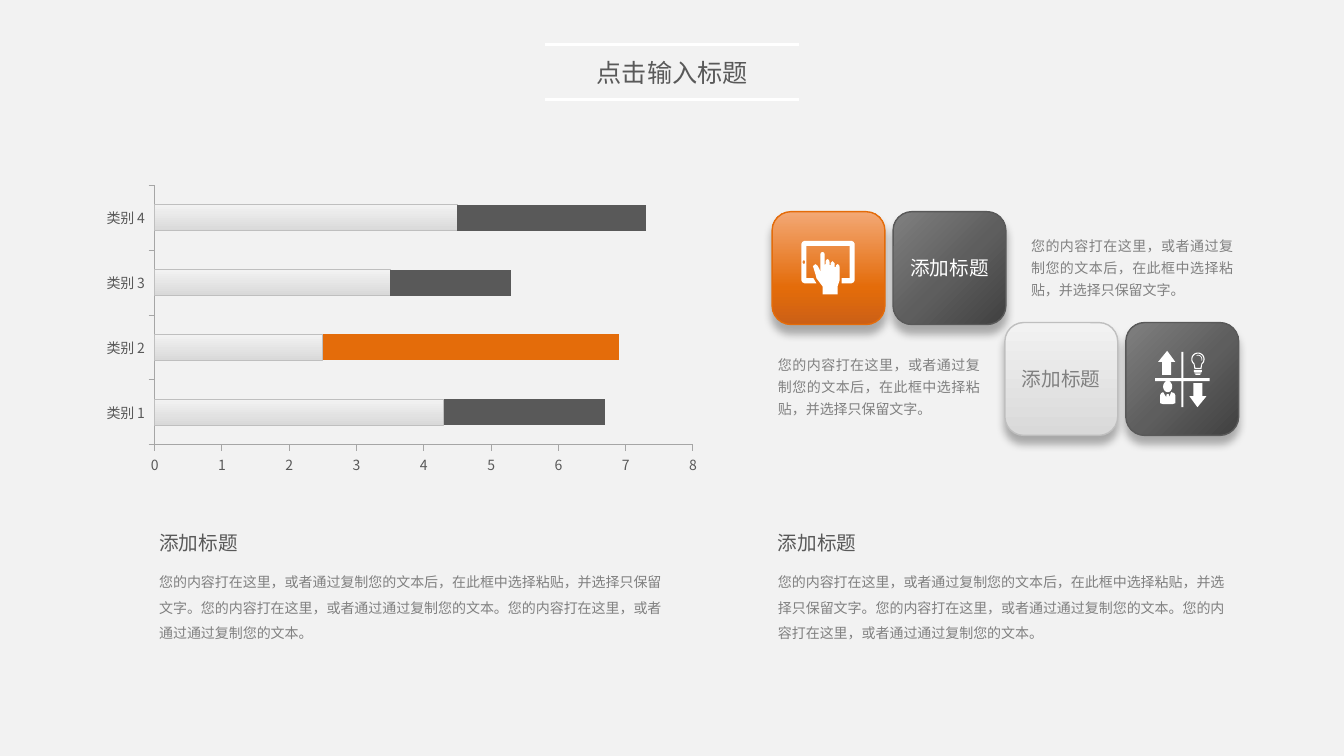
import math
from dataclasses import dataclass
from typing import Any, Optional

import lxml.etree
import pptx
import pptx.chart.data
import pptx.dml.color
import pptx.enum.chart
import pptx.enum.shapes
import pptx.enum.text
import pptx.oxml.ns
import pptx.util

RGB = pptx.dml.color.RGBColor
WHITE = RGB(0xFF, 0xFF, 0xFF)
PAPER = RGB(0xF2, 0xF2, 0xF2)
SILVER = RGB(0xD9, 0xD9, 0xD9)
EDGE_GREY = RGB(0xBF, 0xBF, 0xBF)
AXIS_GREY = RGB(0xA6, 0xA6, 0xA6)
TEXT_GREY = RGB(0x80, 0x80, 0x80)
DARK_GREY = RGB(0x59, 0x59, 0x59)
MID_GREY = RGB(0x5E, 0x5E, 0x5E)
CHARCOAL = RGB(0x40, 0x40, 0x40)
ORANGE = RGB(0xE4, 0x6C, 0x0A)
RUST = RGB(0xCC, 0x60, 0x16)
PEACH = RGB(0xF3, 0xA8, 0x75)

FONT = "Noto Sans CJK SC"
ALIGN = pptx.enum.text.PP_ALIGN
ANCHOR = pptx.enum.text.MSO_ANCHOR
CELL = pptx.util.Inches(7.5) / 54  # grid of 96 columns by 54 rows
LEFT_EDGE, RIGHT_EDGE = 10.66, 54.86
TILE_SIZE, TILE_PITCH = 8.06, 8.64
NOTE = "您的内容打在这里，或者通过复制您的文本后，在此框中选择粘贴，并选择只保留文字。"
DETAIL = NOTE + "您的内容打在这里，或者通过通过复制您的文本。" * 2
HEADING = "添加标题"

Contour = list[tuple[float, float]]


@dataclass
class Gradient:
    stops: list[tuple[int, RGB]]
    angle: int  # counter-clockwise


@dataclass
class Tile:
    column: float
    row: float
    fill: Gradient
    edge: RGB
    label: str = ""
    label_color: RGB = WHITE


@dataclass
class TextBlock:
    text: str
    box: tuple[float, float, float, float]
    size: int
    color: RGB
    align: Any = ALIGN.LEFT
    spacing: Optional[float] = None
    wrap: bool = True
    anchor: Any = ANCHOR.TOP


@dataclass
class Icon:
    column: float
    row: float
    contours: list[Contour]  # hundredths of an inch from the icon's corner


SILVER_FADE = Gradient([(0, SILVER), (100, PAPER)], 90)
ORANGE_FADE = Gradient([(0, RUST), (33, ORANGE), (100, PEACH)], 90)
DARK_FADE = Gradient([(0, CHARCOAL), (47, MID_GREY), (100, TEXT_GREY)], 135)

TILES = [
    Tile(55.15, 15.12, ORANGE_FADE, ORANGE),
    Tile(55.15 + TILE_PITCH, 15.12, DARK_FADE, DARK_GREY, HEADING),
    Tile(71.78, 23.04, SILVER_FADE, EDGE_GREY, HEADING, TEXT_GREY),
    Tile(71.78 + TILE_PITCH, 23.04, DARK_FADE, DARK_GREY),
]
TITLE = TextBlock("点击输入标题", (41.83, 3.74, 12.38, 2.88), 18, DARK_GREY,
                  ALIGN.CENTER, wrap=False, anchor=ANCHOR.MIDDLE)
TEXT_BLOCKS = [
    TextBlock(NOTE, (left, top, 15.84, 5.47), 10, TEXT_GREY, ALIGN.JUSTIFY, 1.3)
    for left, top in ((72.94, 16.27), (RIGHT_EDGE, 24.77))
]
for edge, detail_width in ((LEFT_EDGE, 37.44), (RIGHT_EDGE, 33.91)):
    TEXT_BLOCKS += [
        TextBlock(DETAIL, (edge, 40.03, detail_width, 6.19), 10, TEXT_GREY, spacing=1.5),
        TextBlock(HEADING, (edge, 37.58, 7.13, 2.45), 14, DARK_GREY, wrap=False),
    ]


def arc(x: float, y: float, rx: float, ry: float, start: int = 0, end: int = 360) -> Contour:
    return [(x + rx * math.cos(math.radians(a)), y + ry * math.sin(math.radians(a)))
            for a in range(start, end + 1, 10)]


def bar(left: float, top: float, right: float, bottom: float) -> Contour:
    return [(left, top), (right, top), (right, bottom), (left, bottom)]


TABLET = [(3, 0), (50, 0), (52, 1), (53, 3), (53, 39), (52, 41), (50, 42), (40, 42), (40, 37),
          (48, 37), (48, 5), (5, 5), (5, 37), (12, 37), (15, 42), (3, 42), (1, 41), (0, 39),
          (0, 3), (1, 1)]
HAND = [(38, 33), (38, 26), (37.5, 24), (36, 23), (34.5, 24), (34, 26), (33, 26), (33, 22),
        (31, 20), (29, 22), (29, 24), (28, 24), (28, 21), (27.5, 19), (26, 18), (24.5, 19),
        (24, 21), (24, 23), (23, 24), (23, 13), (22.5, 11.5), (21, 11), (19.5, 11.5), (19, 13),
        (19, 32), (18, 28), (16, 24.5), (14, 23), (11.5, 25), (14, 33), (15, 37), (18, 41),
        (21, 45), (21, 53), (36, 53), (36, 45), (38, 39)]
CROSS = [(0, 27), (26, 27), (26, 1), (28, 1), (28, 27), (54, 27), (54, 30), (28, 30),
         (28, 56), (26, 56), (26, 30), (0, 30)]
UP_ARROW = [(7, 24), (16, 24), (16, 11), (20, 11), (12, 0), (3, 11), (7, 11)]
DOWN_ARROW = [(54 - x, 56 - y) for x, y in UP_ARROW]
PERSON = [(8, 41), (11, 46), (11.5, 43), (13.5, 43), (14, 46), (16, 41), (19, 42), (20, 44),
          (20, 52), (17, 53), (8, 53), (5, 52), (5, 44), (6, 42)]
BULB = [
    arc(42.5, 8.3, 6.6, 6.6, -230, 50) + [(46, 18), (39, 18)],
    arc(42.5, 8.3, 5.5, 5.5, -230, 50) + [(45, 17), (40, 17)],
    arc(42.5, 8.3, 4.3, 4.3, -110, 20) + arc(42.5, 8.3, 3.6, 3.6, -110, 20)[::-1],
    bar(38.5, 19, 46.5, 21), bar(39, 21.5, 46, 22.5), bar(40, 23, 45, 24),
]
ICONS = [
    Icon(57.24, 17.21, [TABLET, arc(2.5, 21, 1.3, 1.8)]),
    Icon(57.24, 17.21, [HAND]),
    Icon(82.51, 25.06, [CROSS, UP_ARROW, DOWN_ARROW, arc(12.5, 35.5, 4.5, 5.5), PERSON, *BULB]),
]


def cells(*counts: float) -> list[int]:
    return [round(count * CELL) for count in counts]


def add_xml(parent: Any, tag: str, **values: Any) -> Any:
    return lxml.etree.SubElement(parent, pptx.oxml.ns.qn(tag),
                                 {key: str(value) for key, value in values.items()})


def set_formats(target: Any, formats: dict[str, Any]) -> None:
    for name, value in formats.items():
        setattr(target, name, value)


def fill_gradient(fill: Any, owner: Any, gradient: Gradient) -> None:
    """Fill with any number of stops; owner is the XML element holding the fill."""
    fill.gradient()
    fill.gradient_angle = gradient.angle
    stops = owner.find(".//" + pptx.oxml.ns.qn("a:gsLst"))
    stops.clear()
    for position, color in gradient.stops:
        add_xml(add_xml(stops, "a:gs", pos=position * 1000), "a:srgbClr", val=color)


def style_font(font: Any, size: int, color: RGB) -> None:
    set_formats(font, {"name": FONT, "size": pptx.util.Pt(size), "bold": False})
    font.color.rgb = color


def style_line(line: Any, color: RGB, width: float) -> None:
    line.color.rgb = color
    line.width = pptx.util.Pt(width)


def add_east_asian_font(root: Any) -> None:
    for latin in list(root.iter(pptx.oxml.ns.qn("a:latin"))):
        latin.addnext(add_xml(latin.getparent(), "a:ea", typeface=FONT))


def write_text(shape: Any, block: TextBlock) -> None:
    frame = shape.text_frame
    frame.text = block.text
    set_formats(frame, {"word_wrap": block.wrap, "vertical_anchor": block.anchor,
                        "auto_size": pptx.enum.text.MSO_AUTO_SIZE.SHAPE_TO_FIT_TEXT})
    paragraph = frame.paragraphs[0]
    set_formats(paragraph, {"alignment": block.align, "line_spacing": block.spacing})
    style_font(paragraph.runs[0].font, block.size, block.color)


def draw_title(slide: Any) -> None:
    title = slide.shapes.title
    set_formats(title, dict(zip(("left", "top", "width", "height"), cells(*TITLE.box))))
    write_text(title, TITLE)
    for row in (3.17, 7.13):
        rule = slide.shapes.add_connector(pptx.enum.shapes.MSO_CONNECTOR.STRAIGHT,
                                          *cells(38.95, row, 57.1, row))
        style_line(rule.line, WHITE, 2.25)
        add_xml(rule.element.spPr, "a:effectLst")


def draw_chart(slide: Any) -> None:
    data = pptx.chart.data.CategoryChartData()
    data.categories = [f"类别 {number}" for number in range(1, 5)]
    data.add_series("Series 1", (4.3, 2.5, 3.5, 4.5))
    data.add_series("Series 2", (2.4, 4.4, 1.8, 2.8))
    chart = slide.shapes.add_chart(pptx.enum.chart.XL_CHART_TYPE.BAR_STACKED,
                                   *cells(6.62, 12.82, 44.21, 21.53), data).chart
    set_formats(chart, {"has_legend": False, "has_title": False})
    plot = chart.plots[0]
    set_formats(plot, {"gap_width": 150, "overlap": 100, "vary_by_categories": False})
    base, extra = plot.series
    fill_gradient(base.format.fill, chart.element, SILVER_FADE)
    style_line(base.format.line, EDGE_GREY, 0.75)
    for part, color in ((extra, DARK_GREY), (extra.points[1], ORANGE)):
        part.format.fill.solid()
        part.format.fill.fore_color.rgb = color
    marks = pptx.enum.chart.XL_TICK_MARK
    for axis in (chart.category_axis, chart.value_axis):
        set_formats(axis, {"has_major_gridlines": False, "major_tick_mark": marks.OUTSIDE,
                           "minor_tick_mark": marks.NONE})
        style_line(axis.format.line, AXIS_GREY, 0.75)
        style_font(axis.tick_labels.font, 10, DARK_GREY)
    set_formats(chart.value_axis, {"minimum_scale": 0, "maximum_scale": 8, "major_unit": 1})
    add_east_asian_font(chart.element)

    plot_area = chart.element.find(".//" + pptx.oxml.ns.qn("c:plotArea"))
    for old_layout in plot_area.findall(pptx.oxml.ns.qn("c:layout")):
        plot_area.remove(old_layout)
    layout = add_xml(plot_area, "c:layout")
    plot_area.insert(0, layout)
    manual = add_xml(layout, "c:manualLayout")
    for tag, value in {"layoutTarget": "inner", "xMode": "edge", "yMode": "edge",
                       "x": 0.1, "y": 0.02, "w": 0.87, "h": 0.86}.items():
        add_xml(manual, "c:" + tag, val=value)


def draw_tile(slide: Any, tile: Tile) -> None:
    box = (tile.column, tile.row, TILE_SIZE, TILE_SIZE)
    shape = slide.shapes.add_shape(pptx.enum.shapes.MSO_SHAPE.ROUNDED_RECTANGLE, *cells(*box))
    fill_gradient(shape.fill, shape.element, tile.fill)
    style_line(shape.line, tile.edge, 1)
    shape.shadow.inherit = False
    effects = shape.element.spPr.find(pptx.oxml.ns.qn("a:effectLst"))
    reach = pptx.util.Pt(6)
    shadow = add_xml(effects, "a:outerShdw", blurRad=int(reach), dist=int(reach),
                     dir=5400000, algn="t", rotWithShape=0)
    add_xml(add_xml(shadow, "a:srgbClr", val="000000"), "a:alpha", val=30000)
    if tile.label:
        write_text(shape, TextBlock(tile.label, box, 14, tile.label_color, ALIGN.CENTER,
                                    anchor=ANCHOR.MIDDLE))
        shape.text_frame.auto_size = pptx.enum.text.MSO_AUTO_SIZE.NONE


def draw_icon(slide: Any, icon: Icon) -> None:
    fine = [[(x * 10, y * 10) for x, y in contour] for contour in icon.contours]
    builder = slide.shapes.build_freeform(*fine[0][0], scale=pptx.util.Inches(1) / 1000)
    for number, contour in enumerate(fine):
        if number:
            builder.move_to(*contour[0])
        builder.add_line_segments(contour[1:], close=True)
    shape = builder.convert_to_shape(*cells(icon.column, icon.row))
    shape.fill.solid()
    shape.fill.fore_color.rgb = WHITE
    shape.line.fill.background()
    shape.shadow.inherit = False


def main() -> None:
    deck = pptx.Presentation()
    set_formats(deck, dict(zip(("slide_width", "slide_height"), cells(96, 54))))
    slide = deck.slides.add_slide(deck.slide_layouts[5])
    slide.background.fill.solid()
    slide.background.fill.fore_color.rgb = PAPER
    draw_title(slide)
    draw_chart(slide)
    for tile in TILES:
        draw_tile(slide, tile)
    for icon in ICONS:
        draw_icon(slide, icon)
    for block in TEXT_BLOCKS:
        write_text(slide.shapes.add_textbox(*cells(*block.box)), block)
    add_east_asian_font(slide.element)
    deck.save("out.pptx")


if __name__ == "__main__":
    main()
